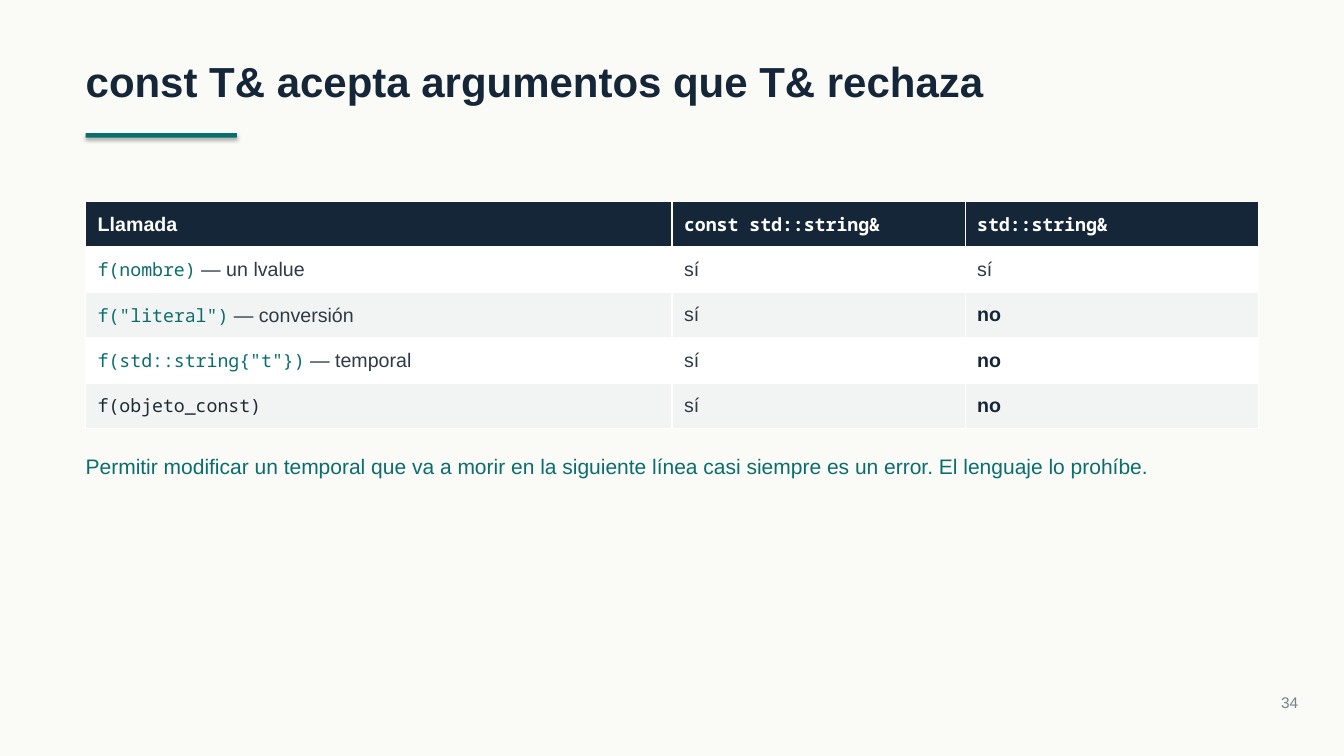
from lxml import etree
from pptx import Presentation
from pptx.dml.color import RGBColor
from pptx.enum.shapes import MSO_SHAPE
from pptx.enum.text import MSO_ANCHOR, MSO_AUTO_SIZE, PP_ALIGN
from pptx.oxml import parse_xml
from pptx.oxml.ns import qn
from pptx.util import Pt

RECTANGLE = MSO_SHAPE.RECTANGLE
TOP, MIDDLE = MSO_ANCHOR.TOP, MSO_ANCHOR.MIDDLE
NO_AUTOFIT = MSO_AUTO_SIZE.NONE
LEFT, RIGHT = PP_ALIGN.LEFT, PP_ALIGN.RIGHT

COLORS = {
    "background": "FAFAF7",
    "navy": "142638",
    "teal": "0B6E6E",
    "body": "2E3A46",
    "code": "1E2B33",
    "number": "74828C",
    "white": "FFFFFF",
    "stripe": "F2F4F3",
}
SANS, MONO = "Arial", "Noto Sans Mono"
MARGIN, CONTENT_WIDTH = 61.2, 837.6
DRAWING = "http://schemas.openxmlformats.org/drawingml/2006/main"


def add_run(paragraph, text, size, color, bold=False, name=SANS):
    run = paragraph.add_run()
    run.text = text
    run.font.name = name
    run.font.size = Pt(size)
    run.font.bold = bold
    run.font.color.rgb = RGBColor.from_string(COLORS[color])


def fill_text(shape, text, size, color, bold=False, alignment=LEFT):
    frame = shape.text_frame
    frame.margin_left = frame.margin_right = frame.margin_top = frame.margin_bottom = 0
    frame.word_wrap = True
    frame.auto_size = NO_AUTOFIT
    frame.vertical_anchor = TOP
    paragraph = frame.paragraphs[0]
    paragraph.alignment = alignment
    add_run(paragraph, text, size, color, bold)


presentation = Presentation()
presentation.slide_width = Pt(960)
presentation.slide_height = Pt(540)
slide = presentation.slides.add_slide(presentation.slide_layouts[5])
slide.background.fill.solid()
slide.background.fill.fore_color.rgb = RGBColor.from_string(COLORS["background"])

title = slide.shapes.title
title.left, title.top = Pt(MARGIN), Pt(39.6)
title.width, title.height = Pt(CONTENT_WIDTH), Pt(36)
fill_text(title, "const T& acepta argumentos que T& rechaza", 30, "navy", True)

accent = slide.shapes.add_shape(RECTANGLE, Pt(MARGIN), Pt(95.04), Pt(108), Pt(3.2))
accent.fill.solid()
accent.fill.fore_color.rgb = RGBColor.from_string(COLORS["teal"])
accent.line.fill.background()
accent.shadow.inherit = False
effects = accent._element.spPr.find(qn("a:effectLst"))
effects.append(parse_xml(
    f'<a:outerShdw xmlns:a="{DRAWING}" blurRad="{Pt(3.1)}" dist="{Pt(1.8)}" '
    'dir="5400000" rotWithShape="0"><a:srgbClr val="000000">'
    '<a:alpha val="35000"/></a:srgbClr></a:outerShdw>'
))

calls = [
    ("f(nombre)", " — un lvalue", "sí", "sí"),
    ('f("literal")', " — conversión", "sí", "no"),
    ('f(std::string{"t"})', " — temporal", "sí", "no"),
    ("f(objeto_const)", "", "sí", "no"),
]
row_height = 32.4
row_count = len(calls) + 1
table = slide.shapes.add_table(
    row_count, 3, Pt(MARGIN), Pt(144), Pt(CONTENT_WIDTH), Pt(row_height * row_count)
).table
for column, share in zip(table.columns, (0.5, 0.25, 0.25)):
    column.width = Pt(CONTENT_WIDTH * share)
for row in table.rows:
    row.height = Pt(row_height)

for row_index, row in enumerate(table.rows):
    fill = "navy" if row_index == 0 else "white" if row_index % 2 else "stripe"
    for cell in row.cells:
        cell.vertical_anchor = MIDDLE
        cell.margin_left = cell.margin_right = Pt(8.64)
        cell.margin_top = cell.margin_bottom = Pt(3.6)
        properties = cell._tc.get_or_add_tcPr()
        for side in ("lnL", "lnR", "lnT", "lnB"):
            border = etree.SubElement(properties, qn(f"a:{side}"), w=str(Pt(0.96)))
            solid = etree.SubElement(border, qn("a:solidFill"))
            etree.SubElement(solid, qn("a:srgbClr"), val=COLORS["white"])
        cell.fill.solid()
        cell.fill.fore_color.rgb = RGBColor.from_string(COLORS[fill])

headers = [("Llamada", 14, SANS), ("const std::string&", 13, MONO), ("std::string&", 13, MONO)]
for column_index, (text, size, name) in enumerate(headers):
    paragraph = table.cell(0, column_index).text_frame.paragraphs[0]
    add_run(paragraph, text, size, "white", True, name)

for row_index, (code, remark, *answers) in enumerate(calls, start=1):
    paragraph = table.cell(row_index, 0).text_frame.paragraphs[0]
    add_run(paragraph, code, 13, "teal" if remark else "code", name=MONO)
    if remark:
        add_run(paragraph, remark, 14, "body")
    for column_index, answer in enumerate(answers, start=1):
        paragraph = table.cell(row_index, column_index).text_frame.paragraphs[0]
        rejected = answer == "no"
        add_run(paragraph, answer, 14, "navy" if rejected else "body", rejected)

conclusion = slide.shapes.add_textbox(Pt(MARGIN), Pt(324), Pt(CONTENT_WIDTH), Pt(18))
fill_text(
    conclusion,
    "Permitir modificar un temporal que va a morir en la siguiente línea "
    "casi siempre es un error. El lenguaje lo prohíbe.",
    15, "teal",
)

page_number = slide.shapes.add_textbox(Pt(862.6), Pt(495.4), Pt(64.8), Pt(13))
fill_text(page_number, "34", 11, "number", alignment=RIGHT)

presentation.save("out.pptx")
